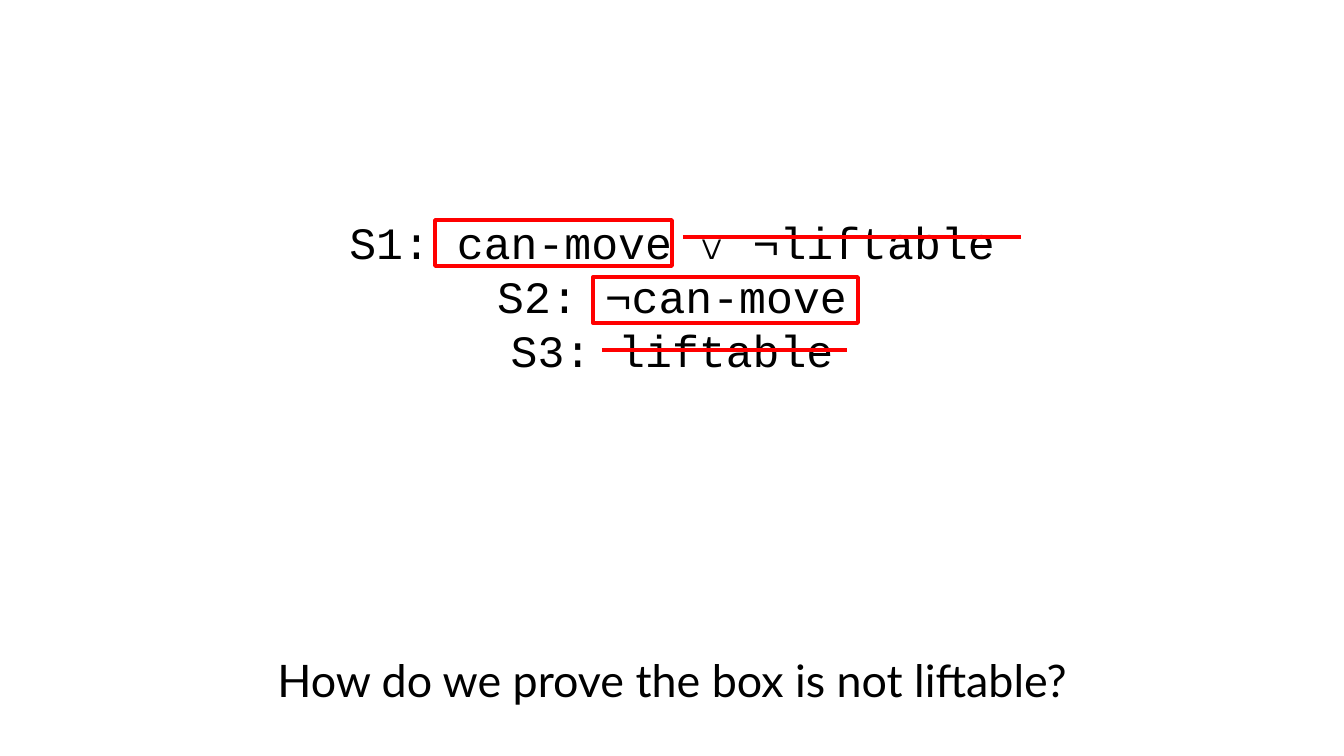
from lxml import etree
from pptx import Presentation
from pptx import util as u
from pptx.dml.color import RGBColor
from pptx.enum import shapes, text
from pptx.oxml.ns import qn

PX = 914400 / 134.4
WIDTH, HEIGHT = 1344, 756
COLORS = {"text": "000000", "mark": "FF0000"}

QUESTION = ["How do we prove the box is not liftable?"]
CLAUSES = ["S1: can-move ∨ ¬liftable", "S2: ¬can-move", "S3: liftable"]
QUESTION_TOP, QUESTION_HEIGHT = 632, 95
INSET = 7
CLAUSES_BOTTOM_INSET = 48

BOXED_LITERALS = [(435, 220, 237, 46), (593, 277, 265, 46)]  # left, top, width, height
STRUCK_LITERALS = [(683, 1021, 237), (602, 847, 350)]  # start, end, y


def px(*lengths):
    return [u.Emu(round(length * PX)) for length in lengths]


def color(name):
    return RGBColor.from_string(COLORS[name])


def write_lines(shape, lines, font_name, bottom_inset=INSET, line_spacing=1.0):
    frame = shape.text_frame
    margins = px(0, INSET, 0, bottom_inset)
    frame_format = dict(zip(
        ("margin_left", "margin_top", "margin_right", "margin_bottom"), margins))
    frame_format.update(word_wrap=True, auto_size=text.MSO_AUTO_SIZE.NONE,
                        vertical_anchor=text.MSO_ANCHOR.MIDDLE)
    for name, value in frame_format.items():
        setattr(frame, name, value)
    frame.text = "\n".join(lines)
    for paragraph in frame.paragraphs:
        paragraph.alignment = text.PP_ALIGN.CENTER
        paragraph.line_spacing = line_spacing
        font = paragraph.runs[0].font
        font.name, font.size = font_name, u.Pt(24)
        font.color.rgb = color("text")


def draw_mark_line(shape, width):
    shape.line.color.rgb = color("mark")
    shape.line.width = u.Pt(width)


presentation = Presentation()
presentation.slide_width, presentation.slide_height = px(WIDTH, HEIGHT)
slide = presentation.slides.add_slide(presentation.slide_layouts[5])

question = slide.shapes.title
question.left, question.top, question.width, question.height = px(
    0, QUESTION_TOP, WIDTH, QUESTION_HEIGHT)
write_lines(question, QUESTION, "Lato")

clauses = slide.shapes.add_textbox(*px(0, 0, WIDTH, QUESTION_TOP))
write_lines(clauses, CLAUSES, "Courier New", CLAUSES_BOTTOM_INSET, u.Pt(29))

for bounds in BOXED_LITERALS:
    box = slide.shapes.add_shape(shapes.MSO_SHAPE.RECTANGLE, *px(*bounds))
    box.shadow.inherit = False
    box.fill.background()
    draw_mark_line(box, 2)

for start, end, y in STRUCK_LITERALS:
    strike = slide.shapes.add_connector(
        shapes.MSO_CONNECTOR.STRAIGHT, *px(start, y, end, y))
    draw_mark_line(strike, 2.25)
    etree.SubElement(strike._element.spPr, qn("a:effectLst"))

presentation.save("out.pptx")
